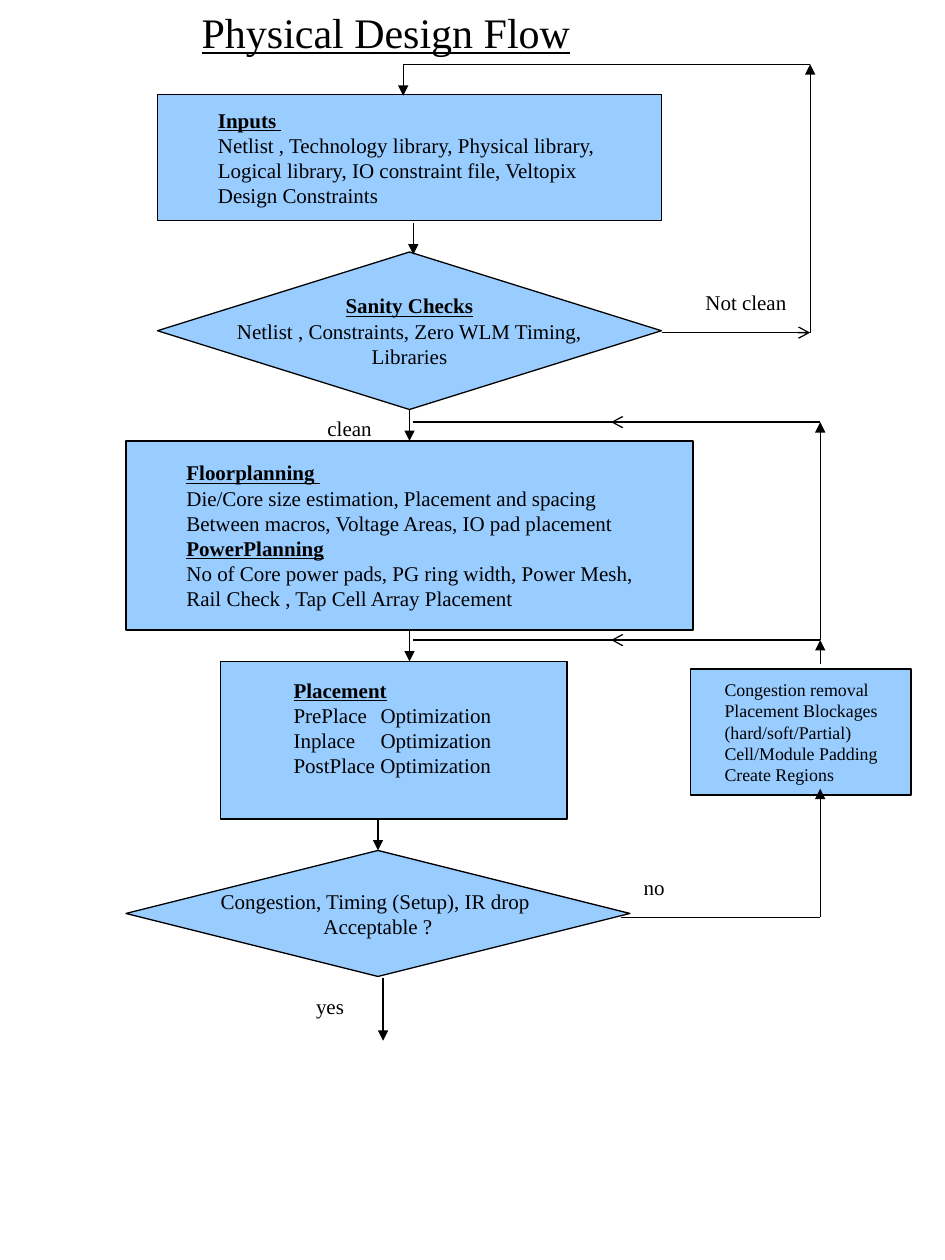
from dataclasses import dataclass

from lxml import etree
from pptx import Presentation
from pptx.dml.color import RGBColor
from pptx.enum.shapes import MSO_CONNECTOR, MSO_SHAPE
from pptx.enum.text import MSO_ANCHOR, MSO_AUTO_SIZE, PP_ALIGN
from pptx.oxml.ns import qn
from pptx.util import Inches, Pt

BOX, DIAMOND = MSO_SHAPE.ROUNDED_RECTANGLE, MSO_SHAPE.DIAMOND
STRAIGHT = MSO_CONNECTOR.STRAIGHT
LEFT, CENTER = PP_ALIGN.LEFT, PP_ALIGN.CENTER
TOP, MIDDLE = MSO_ANCHOR.TOP, MSO_ANCHOR.MIDDLE
NO_FIT = MSO_AUTO_SIZE.NONE
TITLE_ONLY = 5
CELL = 0.25  # inches per grid column and row
COLUMNS, ROWS = 30, 40


@dataclass(frozen=True)
class Theme:
    """Colours, font and sizes of the flow chart."""
    fill: RGBColor = RGBColor(0x99, 0xCC, 0xFF)
    ink: RGBColor = RGBColor(0, 0, 0)
    font: str = "Times New Roman"
    title: float = 24
    body: float = 12
    small: float = 10.2
    line: float = 0.74


THEME = Theme()

# Grid positions of the lines that carry the feedback loops
INPUT_LOOP, REPAIR_LOOP = 25.72, 26.04
LOOP_TOP, CHECK_EXIT = 2.04, 10.56
FLOORPLAN_ENTRY, PLACEMENT_ENTRY, REPAIR_EXIT = 13.4, 20.32, 29.12
JOIN = 13.12

# kind, (column, row, columns, rows), left and bottom inset, size, lines.
# A line that starts with * is a heading.
STEPS = [
    (BOX, (5, 3, 16, 4), 0.48, 0.05, THEME.body, [
        "*Inputs ",
        "Netlist , Technology library, Physical library, ",
        "Logical library, IO constraint file, Veltopix",
        "Design Constraints"]),
    (DIAMOND, (5, 8, 16, 5), 0.1, 0.05, THEME.body, [
        "*Sanity Checks",
        "Netlist , Constraints, Zero WLM Timing,",
        "Libraries"]),
    (BOX, (4, 14, 18, 6), 0.48, 0.05, THEME.body, [
        "*Floorplanning ",
        "Die/Core size estimation, Placement and spacing ",
        "Between macros, Voltage Areas, IO pad placement",
        "*PowerPlanning",
        "No of Core power pads, PG ring width, Power Mesh,",
        "Rail Check , Tap Cell Array Placement"]),
    (BOX, (7, 21, 11, 5), 0.58, 0.25, THEME.body, [
        "*Placement",
        "PrePlace\tOptimization",
        "Inplace\tOptimization",
        "PostPlace Optimization"]),
    (DIAMOND, (4, 27, 16, 4), 0.1, 0.05, THEME.body, [
        "Congestion, Timing (Setup), IR drop ",
        "Acceptable ?"]),
    (BOX, (21.92, 21.24, 7, 4), 0.27, 0.05, THEME.small, [
        "Congestion removal",
        "Placement Blockages",
        "(hard/soft/Partial) ",
        "Cell/Module Padding",
        "Create Regions"]),
]

LABELS = [
    ("no", (20.04, 27.56, 3, 1.2)),
    ("Not clean", (22, 9, 7, 3)),
    ("yes", (9.64, 31.36, 2.36, 1.2)),
    ("clean", (10, 13, 3, 1.2)),
]

# from column, from row, to column, to row, arrowhead
LINES = [
    (12.8, LOOP_TOP, 12.8, 3.04, "triangle"),
    (JOIN, 7.08, JOIN, 8.08, "triangle"),
    (13, 13, 13, 14, "triangle"),
    (13, 20, 13, 21, "triangle"),
    (12, 26, 12, 27, "triangle"),
    (12.16, 31.04, 12.16, 33.04, "triangle"),
    (21, CHECK_EXIT, INPUT_LOOP, CHECK_EXIT, "arrow"),
    (INPUT_LOOP, CHECK_EXIT, INPUT_LOOP, LOOP_TOP, "triangle"),
    (12.8, LOOP_TOP, INPUT_LOOP, LOOP_TOP, None),
    (19.72, REPAIR_EXIT, REPAIR_LOOP, REPAIR_EXIT, None),
    (REPAIR_LOOP, REPAIR_EXIT, REPAIR_LOOP, 25.04, "triangle"),
    (REPAIR_LOOP, 21.08, REPAIR_LOOP, PLACEMENT_ENTRY, "triangle"),
    (REPAIR_LOOP, PLACEMENT_ENTRY, REPAIR_LOOP, FLOORPLAN_ENTRY, "triangle"),
]
for entry in (FLOORPLAN_ENTRY, PLACEMENT_ENTRY):
    LINES += [(JOIN, entry, REPAIR_LOOP, entry, None),
              (22.56, entry, 19.4, entry, "arrow")]


def grid(*cells):
    """Turn grid columns or rows into lengths."""
    return [Inches(cell * CELL) for cell in cells]


def assign(target, values):
    """Set every attribute named in a dict."""
    for name, value in values.items():
        setattr(target, name, value)


def add_tab_stop(paragraph, position):
    """Give a paragraph one left tab stop."""
    tabs = etree.SubElement(paragraph._p.get_or_add_pPr(), qn("a:tabLst"))
    etree.SubElement(tabs, qn("a:tab"), pos=str(Inches(position)), algn="l")


def write(shape, lines, size, align=LEFT, underline=False, **frame_format):
    """Write one paragraph for each line into a shape."""
    frame = shape.text_frame
    assign(frame, {"word_wrap": True, "auto_size": NO_FIT,
                   "vertical_anchor": TOP,
                   "margin_left": Inches(0.1), "margin_right": Inches(0.1),
                   "margin_top": Inches(0.05), "margin_bottom": Inches(0.05),
                   **frame_format})
    for index, line in enumerate(lines):
        paragraph = frame.paragraphs[0] if index == 0 else frame.add_paragraph()
        paragraph.alignment = align
        if "\t" in line:
            add_tab_stop(paragraph, 0.69)
        heading = line.startswith("*")
        run = paragraph.add_run()
        run.text = line.lstrip("*")
        assign(run.font, {"name": THEME.font, "size": Pt(size), "bold": heading,
                          "underline": heading or underline})
        run.font.color.rgb = THEME.ink


def add_title(slide, text, area):
    """Place and format the title placeholder."""
    title = slide.shapes.title
    assign(title, dict(zip(("left", "top", "width", "height"), grid(*area))))
    write(title, [text], THEME.title, underline=True)


def add_step(slide, kind, area, left, bottom, size, lines):
    """Add a filled box or a decision diamond with its text."""
    shape = slide.shapes.add_shape(kind, *grid(*area))
    shape.shadow.inherit = False
    shape.fill.solid()
    shape.fill.fore_color.rgb = THEME.fill
    shape.line.color.rgb = THEME.ink
    shape.line.width = Pt(THEME.line)
    if kind == BOX:
        shape.adjustments[0] = 0
    write(shape, lines, size, LEFT if kind == BOX else CENTER,
          word_wrap=kind == BOX, vertical_anchor=MIDDLE,
          margin_left=Inches(left), margin_bottom=Inches(bottom))


def add_label(slide, text, area):
    """Add a branch label."""
    write(slide.shapes.add_textbox(*grid(*area)), [text], THEME.body)


def add_line(slide, start_x, start_y, end_x, end_y, head):
    """Add a straight connector, with an arrowhead if one is named."""
    line = slide.shapes.add_connector(
        STRAIGHT, *grid(start_x, start_y, end_x, end_y))
    line.line.color.rgb = THEME.ink
    line.line.width = Pt(THEME.line)
    if head:
        etree.SubElement(line.line._get_or_add_ln(), qn("a:tailEnd"), type=head)
    etree.SubElement(line._element.spPr, qn("a:effectLst"))


def main():
    """Build the flow chart slide and save it."""
    presentation = Presentation()
    width, height = grid(COLUMNS, ROWS)
    assign(presentation, {"slide_width": width, "slide_height": height})
    slide = presentation.slides.add_slide(presentation.slide_layouts[TITLE_ONLY])
    add_title(slide, "Physical Design Flow", (6, 0, 15, 2))
    for add, items in ((add_step, STEPS), (add_label, LABELS), (add_line, LINES)):
        for item in items:
            add(slide, *item)
    presentation.save("out.pptx")


main()
